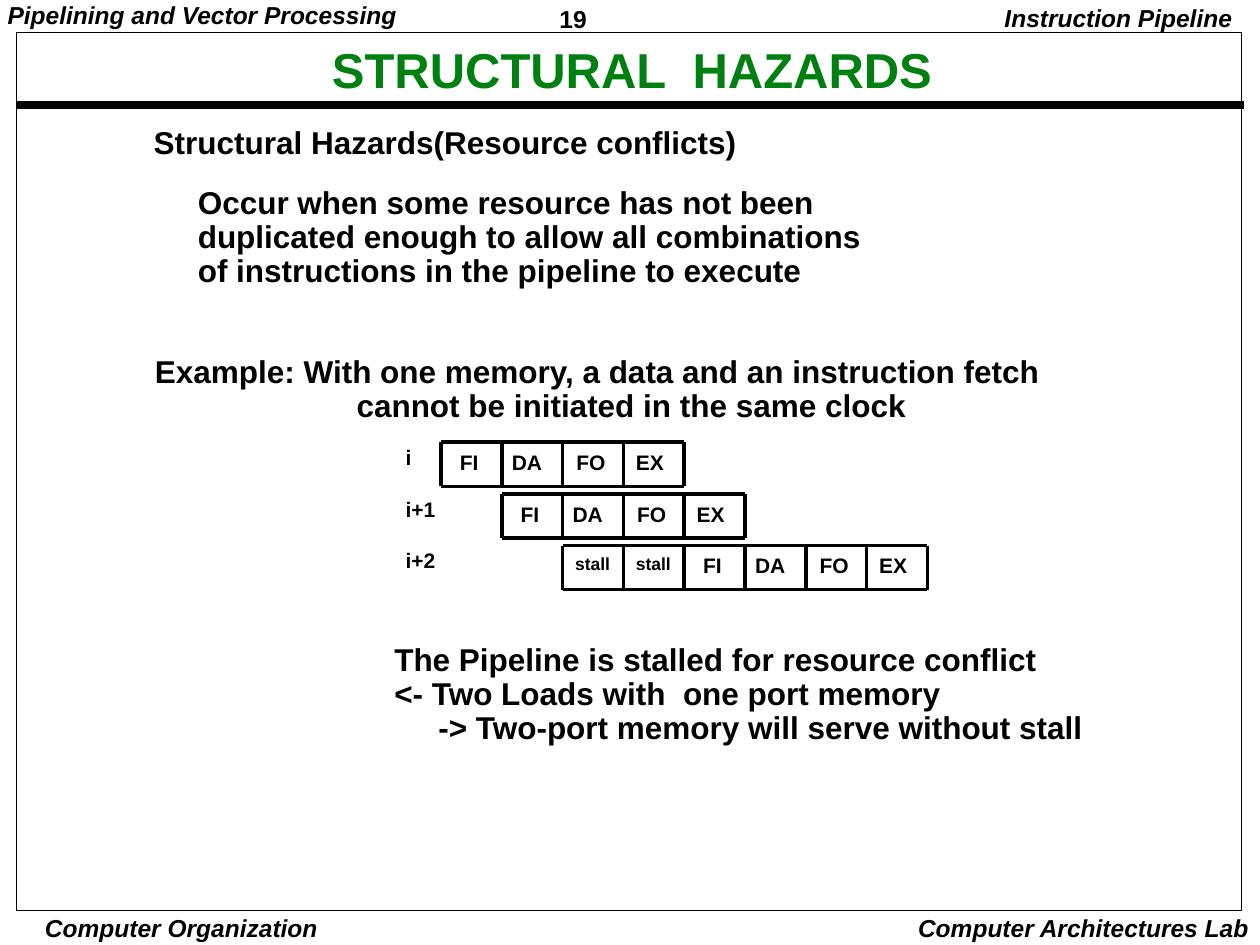
import pptx
import pptx.dml.color
import pptx.enum.shapes
import pptx.enum.text
import pptx.oxml
import pptx.util

Inches = pptx.util.Inches
Pt = pptx.util.Pt
ALIGN = pptx.enum.text.PP_ALIGN
ANCHOR = pptx.enum.text.MSO_ANCHOR
COLORS = {"ink": "000000", "title": "008011"}
NS = 'xmlns:a="http://schemas.openxmlformats.org/drawingml/2006/main"'
HEADER = {"size": 14, "italic": True}


def rgb(name):
    return pptx.dml.color.RGBColor.from_string(COLORS[name])


class Deck:
    font = {"name": "Arial", "bold": True, "italic": False}

    def __init__(self, width, height):
        self.prs = pptx.Presentation()
        self.prs.slide_width = Inches(width)
        self.prs.slide_height = Inches(height)
        self.slide = self.prs.slides.add_slide(self.prs.slide_layouts[1])

    def fill_text(self, sp, lines, size=18, color="ink", italic=False, align=ALIGN.LEFT,
                  anchor=ANCHOR.TOP, inset=(0.07, 0.03), indents=(), gaps=(), spacing=0.9):
        tf = sp.text_frame
        x, y = map(Inches, inset)
        frame = {"word_wrap": True, "auto_size": pptx.enum.text.MSO_AUTO_SIZE.NONE,
                 "vertical_anchor": anchor, "margin_left": x, "margin_right": x,
                 "margin_top": y, "margin_bottom": y}
        for key, value in frame.items():
            setattr(tf, key, value)
        for i, line in enumerate(lines):
            p = tf.paragraphs[0] if i == 0 else tf.add_paragraph()
            p.add_run().text = line
            pPr = p._p.get_or_add_pPr()
            pPr.set("marL", str(Inches(indents[i] if indents else 0)))
            pPr.set("indent", "0")
            pPr.append(pptx.oxml.parse_xml(f"<a:buNone {NS}/>"))
            layout = {"alignment": align, "line_spacing": spacing,
                      "space_before": Pt(gaps[i] if gaps else 0)}
            for key, value in layout.items():
                setattr(p, key, value)
            r = p.runs[0]
            for key, value in {**self.font, "italic": italic, "size": Pt(size)}.items():
                setattr(r.font, key, value)
            r.font.color.rgb = rgb(color)

    def placeholder(self, idx, box, lines, **style):
        sp = self.slide.placeholders[idx]
        sp.left, sp.top, sp.width, sp.height = map(Inches, box)
        self.fill_text(sp, lines, **style)

    def text(self, box, lines, **style):
        self.fill_text(self.slide.shapes.add_textbox(*map(Inches, box)), lines, **style)

    def line(self, x1, y1, x2, y2, width=2):
        cx = self.slide.shapes.add_connector(
            pptx.enum.shapes.MSO_CONNECTOR.STRAIGHT, *map(Inches, (x1, y1, x2, y2)))
        cx.line.color.rgb = rgb("ink")
        cx.line.width = Pt(width)
        cx._element.spPr.append(pptx.oxml.parse_xml(f"<a:effectLst {NS}/>"))

    def frame(self, box):
        sp = self.slide.shapes.add_shape(
            pptx.enum.shapes.MSO_SHAPE.RECTANGLE, *map(Inches, box))
        sp.shadow.inherit = False
        sp.fill.background()
        sp.line.color.rgb = rgb("ink")
        sp.line.width = Pt(0.5)

    def label(self, x, y, text, size=12):
        self.text((x, y, 0.4, 0.18), [text], size=size, inset=(0, 0))

    def pipeline(self, x, y, pitch, stages):
        height = 0.35
        right = x + pitch * len(stages)
        for edge in (y, y + height):
            self.line(x, edge, right, edge)
        for i in range(len(stages) + 1):
            self.line(x + i * pitch, y, x + i * pitch, y + height)
        offsets = {"FI": 0.15, "DA": 0.08, "FO": 0.11, "EX": 0.1, "stall": 0.1}
        for i, stage in enumerate(stages):
            size = 10 if stage == "stall" else 12
            self.label(x + i * pitch + offsets[stage], y + 0.08, stage, size)


def main():
    deck = Deck(10, 7.5)
    deck.text((4.37, 0, 1.08, 0.29), ["19"], size=14, spacing=1.0)
    deck.text((-0.01, 0, 3.4, 0.27), ["Pipelining and Vector Processing"], **HEADER)
    deck.text((7.6, 0, 2.28, 0.31), ["Instruction Pipeline"],
              align=ALIGN.RIGHT, inset=(0.1, 0.05), **HEADER)
    deck.text((0.2, 7.24, 2.48, 0.26), ["Computer Organization"],
              align=ALIGN.CENTER, inset=(0.03, 0.01), spacing=1.0, **HEADER)
    deck.text((7, 7.2, 3.01, 0.33), ["Computer Architectures Lab"],
              align=ALIGN.RIGHT, inset=(0.1, 0.05), spacing=1.0, **HEADER)
    deck.line(0.13, 0.83, 9.87, 0.83, width=4.5)
    deck.frame((0.13, 0.26, 9.72, 6.97))

    deck.placeholder(0, (0.72, 0.27, 8.59, 0.61), ["STRUCTURAL  HAZARDS"],
                     size=28, color="title", align=ALIGN.CENTER, anchor=ANCHOR.MIDDLE)
    deck.placeholder(1, (1.15, 0.98, 6.2, 1.35),
                     ["Structural Hazards(Resource conflicts)",
                      "Occur when some resource has not been",
                      "duplicated enough to allow all combinations",
                      "of instructions in the pipeline to execute"],
                     indents=(0, 0.35, 0.35, 0.35), gaps=(0, 15, 0, 0))
    deck.text((1.16, 2.8, 7.4, 0.6),
              ["Example: With one memory, a data and an instruction fetch",
               "cannot be initiated in the same clock"], indents=(0, 1.6))
    deck.text((3.06, 5.08, 5.9, 0.87),
              ["The Pipeline is stalled for resource conflict",
               "<- Two Loads with  one port memory",
               "-> Two-port memory will serve without stall"], indents=(0, 0, 0.35))

    left, top, row = 3.5, 3.51, 0.41
    pitch = (7.36 - left) / 8
    stages = ["FI", "DA", "FO", "EX"]
    instructions = [("i", stages), ("i+1", stages), ("i+2", ["stall"] * 2 + stages)]
    for i, (name, cells) in enumerate(instructions):
        y = top + i * row
        deck.label(3.22, y + 0.04, name)
        deck.pipeline(left + i * pitch, y, pitch, cells)

    deck.prs.save("out.pptx")


if __name__ == "__main__":
    main()
